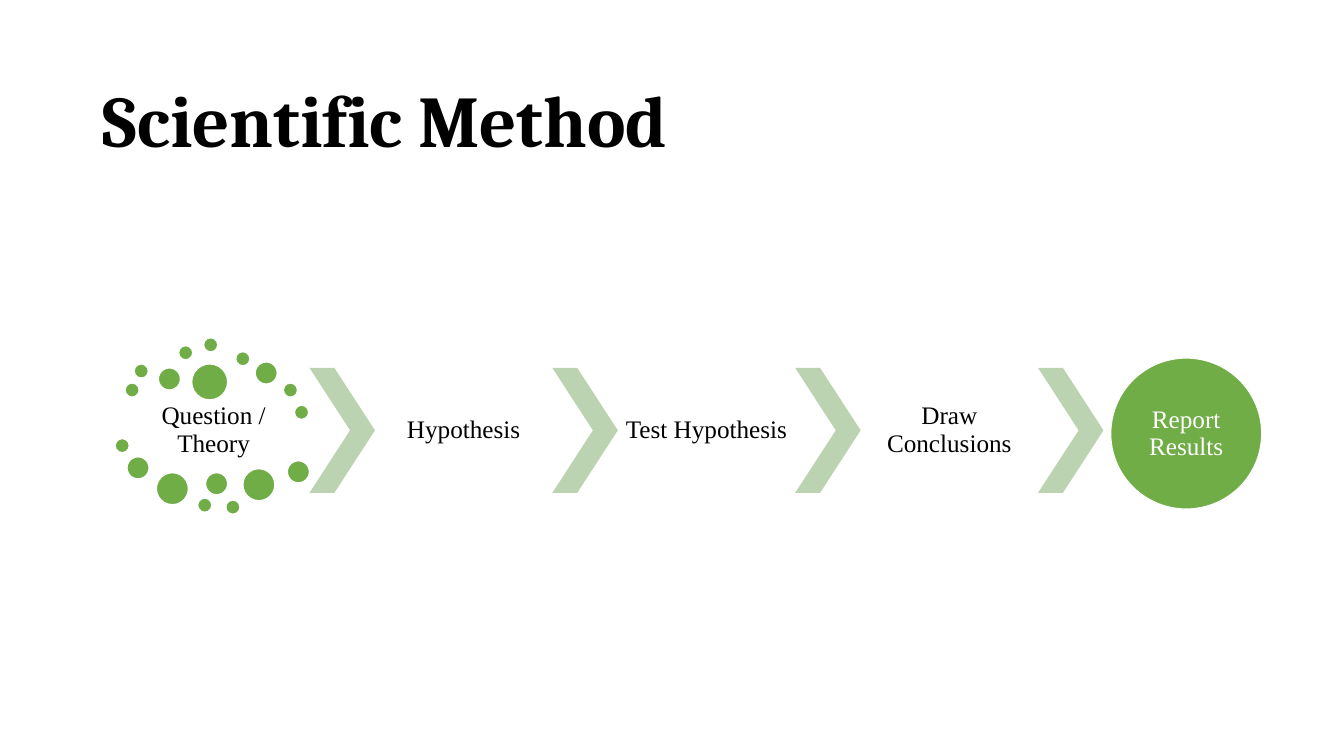
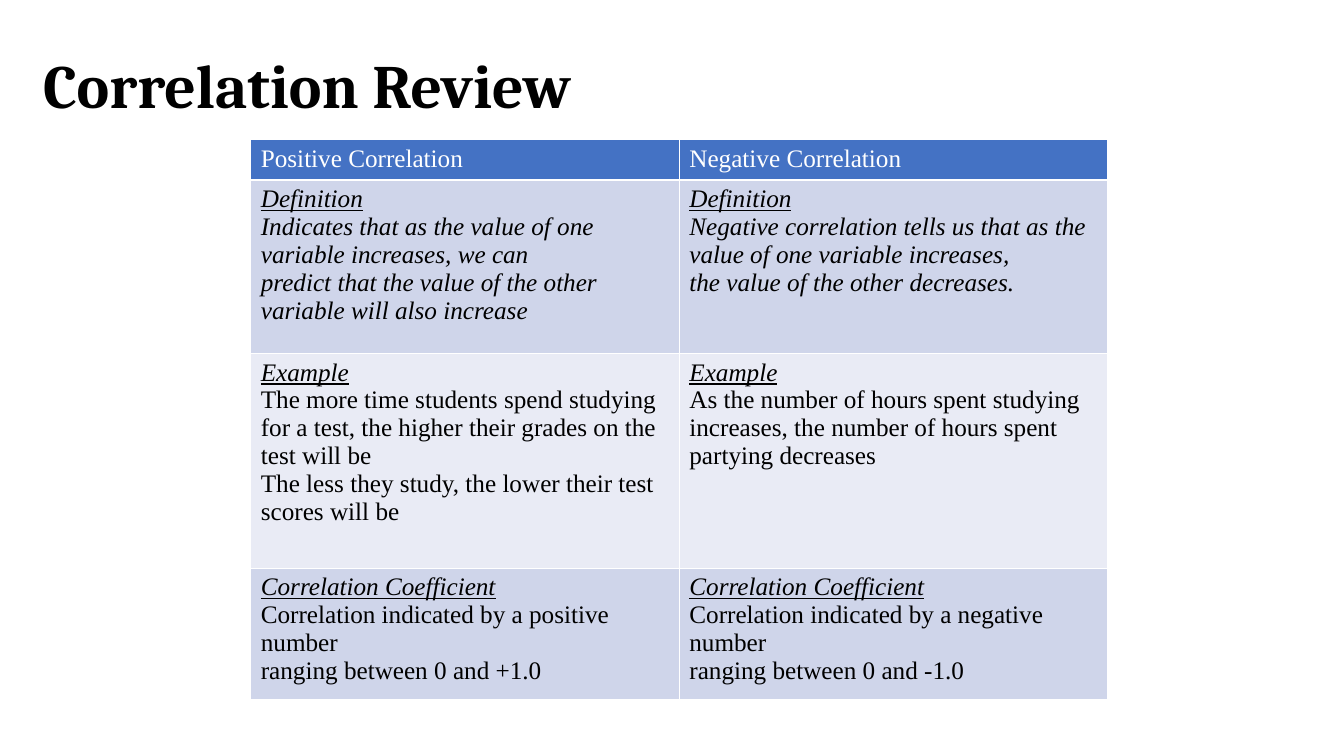
from lxml.etree import SubElement
from pptx import Presentation
from pptx.dml.color import RGBColor
from pptx.enum.shapes import MSO_SHAPE
from pptx.enum.text import MSO_ANCHOR, PP_ALIGN
from pptx.oxml.ns import qn
from pptx.util import Cm, Pt

BLACK, WHITE = "000000", "FFFFFF"
GREEN, PALE_GREEN = "70AD47", "BBD3B1"
HEADER_BLUE, BAND_DARK, BAND_LIGHT = "4472C4", "CFD5EA", "E9EBF5"

SMALL, MEDIUM, LARGE, LARGEST = 0.36, 0.56, 0.81, 0.91
DOTS = [  # left, top, diameter in cm
    (3.15, 9.65, SMALL), (3.38, 9.17, SMALL), (3.99, 9.27, MEDIUM),
    (4.5, 8.71, SMALL), (5.13, 8.51, SMALL), (5.94, 8.86, SMALL),
    (6.43, 9.12, MEDIUM), (7.14, 9.65, SMALL), (7.42, 10.21, SMALL),
    (4.83, 9.17, LARGEST), (2.9, 11.05, SMALL), (3.2, 11.51, MEDIUM),
    (3.94, 11.91, LARGE), (4.98, 12.55, SMALL), (5.18, 11.91, MEDIUM),
    (5.69, 12.6, SMALL), (6.12, 11.81, LARGE), (7.24, 11.61, MEDIUM),
]
STEPS = ["Hypothesis", "Test Hypothesis", "Draw Conclusions"]

HEADERS = ["Positive Correlation", "Negative Correlation"]
# heading, whether the text below is italic, paragraphs of each column
ROWS = [
    ("Definition", True, [
        ["Indicates that as the value of one variable increases, we can",
         "predict that the value of the other variable will also increase"],
        ["Negative correlation tells us that as the value of one variable increases,",
         "the value of the other decreases."]]),
    ("Example", False, [
        ["The more time students spend studying for a test, the higher their "
         "grades on the test will be",
         "The less they study, the lower their test scores will be"],
        ["As the number of hours spent studying increases, the number of hours "
         "spent partying decreases"]]),
    ("Correlation Coefficient", False, [
        ["Correlation indicated by a positive number", "ranging between 0 and +1.0"],
        ["Correlation indicated by a negative number", "ranging between 0 and -1.0"]]),
]


def color(value):
    return RGBColor.from_string(value)


class Deck:
    """Holds the shared style and the slide being built."""

    title_font = "Cambria"
    body_font = "Times New Roman"
    body_size = 18

    def __init__(self):
        self.presentation = Presentation()
        self.presentation.slide_width = Cm(33.87)
        self.presentation.slide_height = Cm(19.05)
        self.slide = None

    def new_slide(self, title, size, left, top, width, height):
        self.slide = self.presentation.slides.add_slide(
            self.presentation.slide_layouts[6])
        frame = self.text_frame(left, top, width, height)
        frame.text = title
        paragraph = frame.paragraphs[0]
        paragraph.line_spacing = 0.9
        self.format(paragraph, name=self.title_font, size=size, bold=True)

    def text_frame(self, left, top, width, height):
        box = self.slide.shapes.add_textbox(Cm(left), Cm(top), Cm(width), Cm(height))
        frame = box.text_frame
        frame.word_wrap = True
        frame.vertical_anchor = MSO_ANCHOR.MIDDLE
        return frame

    def format(self, paragraph, fill=BLACK, name=body_font, size=body_size,
               bold=False, italic=False, underline=False):
        for run in paragraph.runs:
            font = run.font
            font.name, font.size = name, Pt(size)
            font.bold, font.italic, font.underline = bold, italic, underline
            font.color.rgb = color(fill)

    def center_text(self, frame, text, fill=BLACK, inset=0.08):
        frame.word_wrap = True
        frame.vertical_anchor = MSO_ANCHOR.MIDDLE
        frame.margin_left = frame.margin_right = Cm(inset)
        frame.margin_top = frame.margin_bottom = Cm(inset)
        frame.text = text
        paragraph = frame.paragraphs[0]
        paragraph.alignment = PP_ALIGN.CENTER
        paragraph.line_spacing = 0.9
        self.format(paragraph, fill)

    def label(self, text, left, top, width, height):
        self.center_text(self.text_frame(left, top, width, height), text)

    def shape(self, kind, left, top, width, height, fill):
        shape = self.slide.shapes.add_shape(
            kind, Cm(left), Cm(top), Cm(width), Cm(height))
        shape.shadow.inherit = False
        shape.fill.solid()
        shape.fill.fore_color.rgb = color(fill)
        shape.line.fill.background()
        return shape

    def circle(self, left, top, diameter):
        circle = self.shape(MSO_SHAPE.OVAL, left, top, diameter, diameter, GREEN)
        circle.line.color.rgb = color(WHITE)
        circle.line.width = Pt(1)
        return circle

    def chevron(self, left, top, width, height):
        chevron = self.shape(MSO_SHAPE.CHEVRON, left, top, width, height, PALE_GREEN)
        chevron.adjustments[0] = 0.62

    def table(self, left, top, column_widths, row_heights):
        table = self.slide.shapes.add_table(
            len(row_heights), len(column_widths), Cm(left), Cm(top),
            Cm(sum(column_widths)), Cm(sum(row_heights))).table
        for column, width in zip(table.columns, column_widths):
            column.width = Cm(width)
        for row, height in zip(table.rows, row_heights):
            row.height = Cm(height)
        return table

    def cell_borders(self, cell):
        properties = cell._tc.get_or_add_tcPr()
        for position, side in enumerate(("lnL", "lnR", "lnT", "lnB")):
            line = SubElement(properties, qn(f"a:{side}"), w=str(Pt(1)))
            fill = SubElement(line, qn("a:solidFill"))
            SubElement(fill, qn("a:srgbClr"), val=WHITE)
            properties.insert(position, line)

    def cell(self, cell, paragraphs, fill):
        """Fill a cell from pairs of text and font settings."""
        cell.fill.solid()
        cell.fill.fore_color.rgb = color(fill)
        self.cell_borders(cell)
        cell.text_frame.text = "\n".join(text for text, _ in paragraphs)
        for paragraph, (_, settings) in zip(cell.text_frame.paragraphs, paragraphs):
            self.format(paragraph, **settings)


def scientific_method(deck):
    deck.new_slide("Scientific Method", 52, 2.34, 1.55, 29.21, 3.15)
    deck.label("Question / Theory", 3.15, 10.11, 4.47, 1.47)
    for dot in DOTS:
        deck.circle(*dot)

    first_left, top, height = 7.8, 9.27, 3.15
    chevron_width, label_width = 1.65, 4.47
    pitch = chevron_width + label_width
    for index in range(len(STEPS) + 1):
        deck.chevron(first_left + index * pitch, top, chevron_width, height)
    for index, step in enumerate(STEPS):
        deck.label(step, first_left + chevron_width + index * pitch, top,
                   label_width, height)

    result = deck.circle(27.99, 9.02, 3.81)
    deck.center_text(result.text_frame, "Report Results", WHITE, inset=0)


def correlation_review(deck):
    deck.new_slide("Correlation Review", 44, 0.84, 0.74, 26.7, 3)
    table = deck.table(6.32, 3.52, [10.8, 10.8], [0.97, 4.37, 5.41, 3.23])
    for column, header in enumerate(HEADERS):
        deck.cell(table.cell(0, column), [(header, {"fill": WHITE})], HEADER_BLUE)
    for row, (heading, italic, columns) in enumerate(ROWS, start=1):
        band = BAND_DARK if row % 2 else BAND_LIGHT
        for column, texts in enumerate(columns):
            paragraphs = [(heading, {"italic": True, "underline": True})]
            paragraphs += [(text, {"italic": italic}) for text in texts]
            deck.cell(table.cell(row, column), paragraphs, band)


def main():
    deck = Deck()
    scientific_method(deck)
    correlation_review(deck)
    deck.presentation.save("out.pptx")


if __name__ == "__main__":
    main()
